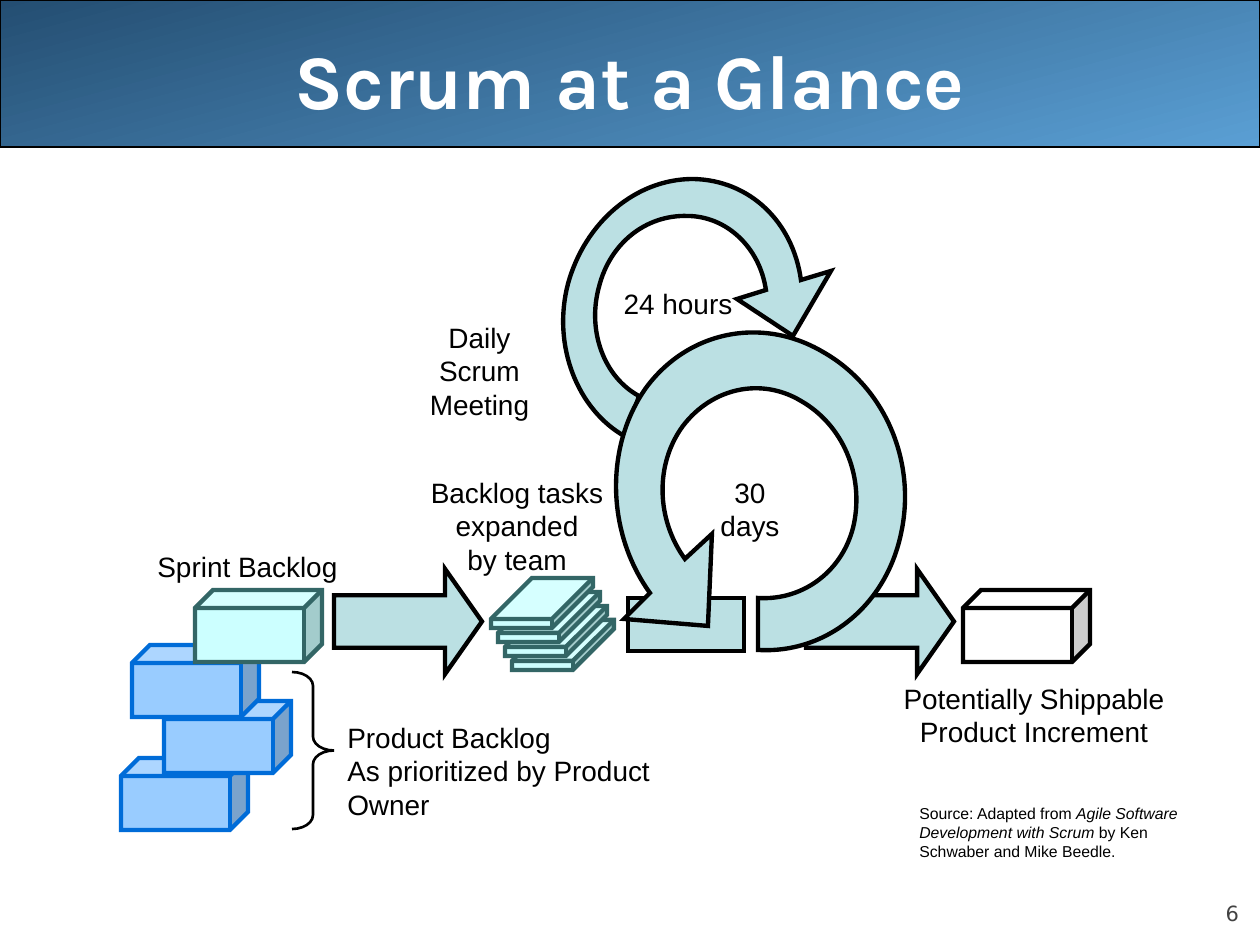
"""Build the "Scrum at a Glance" process slide."""
from dataclasses import dataclass

from lxml import etree
from pptx import Presentation
from pptx.dml.color import RGBColor
from pptx.enum.shapes import MSO_SHAPE
from pptx.enum.text import MSO_ANCHOR, MSO_AUTO_SIZE, PP_ALIGN
from pptx.oxml.ns import qn
from pptx.util import Emu, Pt

LEFT, CENTER, RIGHT = PP_ALIGN.LEFT, PP_ALIGN.CENTER, PP_ALIGN.RIGHT
MIDDLE, BOTTOM, TOP = MSO_ANCHOR.MIDDLE, MSO_ANCHOR.BOTTOM, MSO_ANCHOR.TOP
GROW = MSO_AUTO_SIZE.SHAPE_TO_FIT_TEXT
RECTANGLE, CUBE = MSO_SHAPE.RECTANGLE, MSO_SHAPE.CUBE
ARROW, BRACE = MSO_SHAPE.RIGHT_ARROW, MSO_SHAPE.RIGHT_BRACE
TITLE_ONLY = 5
EMU_PER_PX = 914400 / 126


@dataclass(frozen=True)
class Theme:
    """Colours, fonts and sizes of the slide."""
    banner_dark: str = "244E72"
    banner_light: str = "5A9FD4"
    flow: str = "BBE0E3"
    product: str = "99CCFF"
    product_line: str = "006CD8"
    sprint: str = "CCFFFF"
    sprint_line: str = "336666"
    white: str = "FFFFFF"
    black: str = "000000"
    number: str = "424242"
    title_font: str = "Karla"
    body_font: str = "Arial"
    number_font: str = "DejaVu Sans"
    title_size: float = 44
    label_size: float = 16
    number_size: float = 12
    source_size: float = 9
    outline: float = 2.5
    brace_line: float = 1.5
    banner_line: float = 0.75


THEME = Theme()
TITLE = "Scrum at a Glance"
PAGE_NUMBER = "6"
SOURCE = [("Source: Adapted from ", False),
          ("Agile Software Development with Scrum ", True),
          ("by Ken Schwaber and Mike Beedle.", False)]
LABELS = [
    ("30 days", (689, 469, 122, 47), CENTER),
    ("24 hours", (611, 280, 134, 47), CENTER),
    ("Product Backlog\nAs prioritized by Product Owner", (335, 714, 417, 81), LEFT),
    ("Sprint Backlog", (145, 543, 205, 47), LEFT),
    ("Backlog tasks\nexpanded\nby team", (418, 469, 198, 113), CENTER),
    ("Potentially Shippable\nProduct Increment", (891, 675, 286, 81), CENTER),
    ("Daily Scrum\nMeeting", (392, 314, 175, 81), CENTER),
]
ITEMS = [
    ((121, 758), THEME.product, THEME.product_line),
    ((164, 701), THEME.product, THEME.product_line),
    ((132, 645), THEME.product, THEME.product_line),
    ((195, 590), THEME.sprint, THEME.sprint_line),
    ((963, 590), THEME.white, THEME.black),
]
ITEM_SIZE = (127, 72)
TASK_COUNT, TASK_ORIGIN, TASK_STEP, TASK_SIZE = 4, (491, 578), (7, 14), (102, 50)
ARROW_LEFTS, ARROW_TOP, ARROW_SIZE = (806, 334), 569, (148, 105)
DAILY_LOOP = [
    [(766, 290)],
    [(760, 248), (727, 216), (687, 216)],
    [(646, 215), (610, 243), (599, 287)],
    [(587, 331), (604, 377), (639, 396)],
    [(626, 437)],
    [(577, 410), (552, 345), (568, 284)],
    [(585, 222), (636, 179), (693, 179)],
    [(750, 180), (793, 222), (801, 280)],
    [(831, 271)], [(793, 336)], [(737, 299)],
]
SPRINT_LOOP = [
    [(685, 559)],
    [(656, 519), (655, 464), (683, 426)],
    [(712, 388), (761, 377), (801, 401)],
    [(843, 425), (864, 475), (854, 524)],
    [(844, 570), (804, 601), (758, 598)],
    [(758, 650)],
    [(827, 654), (886, 605), (901, 534)],
    [(917, 462), (885, 387), (823, 352)],
    [(762, 316), (688, 331), (646, 388)],
    [(605, 446), (606, 532), (650, 593)],
    [(624, 619)], [(708, 626)], [(712, 534)],
]


def px(*lengths):
    return [Emu(round(length * EMU_PER_PX)) for length in lengths]


def rgb(colour):
    return RGBColor.from_string(colour)


def paint(shape, fill, line, width=THEME.outline):
    shape.shadow.inherit = False
    if fill:
        shape.fill.solid()
        shape.fill.fore_color.rgb = rgb(fill)
    else:
        shape.fill.background()
    shape.line.color.rgb = rgb(line)
    shape.line.width = Pt(width)
    outline = shape._element.spPr.find(qn("a:ln"))
    etree.SubElement(outline, qn("a:miter"), lim="800000")


def add_solid(shapes, preset, box, fill, line, adjustments=(), width=THEME.outline):
    solid = shapes.add_shape(preset, *px(*box))
    for index, value in enumerate(adjustments):
        solid.adjustments[index] = value
    paint(solid, fill, line, width)


def add_loop(shapes, segments):
    """Draw a closed outline; three-point segments are Bézier curves."""
    start, *rest = segments
    builder = shapes.build_freeform(*start[0], scale=EMU_PER_PX)
    builder.add_line_segments([point for segment in rest for point in segment], close=True)
    loop = builder.convert_to_shape()
    outline = loop._element.find(".//" + qn("a:path"))
    lines = iter(outline.findall(qn("a:lnTo")))
    for segment in rest:
        steps = [next(lines) for _ in segment]
        if len(steps) == 3:
            curve = etree.Element(qn("a:cubicBezTo"))
            steps[0].addprevious(curve)
            for step in steps:
                curve.append(step[0])
                outline.remove(step)
    paint(loop, THEME.flow, THEME.black)


def style(frame, font, size, colour, align, bold=False):
    for paragraph in frame.paragraphs:
        paragraph.alignment = align
        for run in paragraph.runs:
            run.font.name, run.font.size, run.font.bold = font, Pt(size), bold
            run.font.color.rgb = rgb(colour)


def add_frame(slide, box, wrap, anchor=TOP):
    frame = slide.shapes.add_textbox(*px(*box)).text_frame
    frame.word_wrap, frame.vertical_anchor = wrap, anchor
    return frame


def add_banner(slide):
    banner = slide.shapes.add_shape(RECTANGLE, *px(0, 0, 1260, 147))
    paint(banner, THEME.banner_dark, THEME.black, THEME.banner_line)
    banner.fill.gradient()
    banner.fill.gradient_angle = 285
    for stop, colour in zip(banner.fill.gradient_stops, (THEME.banner_dark, THEME.banner_light)):
        stop.color.rgb = rgb(colour)
    title = slide.shapes.title
    title.left, title.top, title.width, title.height = px(63, 0, 1134, 158)
    title.text_frame.text = TITLE
    title.text_frame.vertical_anchor = MIDDLE
    style(title.text_frame, THEME.title_font, THEME.title_size, THEME.white, CENTER, True)
    banner._element.addnext(title._element)


def add_diagram(shapes):
    outgoing, incoming = [(left, ARROW_TOP, *ARROW_SIZE) for left in ARROW_LEFTS]
    add_solid(shapes, ARROW, outgoing, THEME.flow, THEME.black, (0.5, 0.351))
    add_solid(shapes, RECTANGLE, (628, 598, 116, 53), THEME.flow, THEME.black)
    add_loop(shapes, DAILY_LOOP)
    for corner, fill, line in ITEMS:
        add_solid(shapes, CUBE, (*corner, *ITEM_SIZE), fill, line, (0.25,))
    tasks = shapes.add_group_shape().shapes
    for level in reversed(range(TASK_COUNT)):
        corner = [start + level * step for start, step in zip(TASK_ORIGIN, TASK_STEP)]
        add_solid(tasks, CUBE, (*corner, *TASK_SIZE), THEME.sprint, THEME.sprint_line, (0.82,))
    add_loop(shapes, SPRINT_LOOP)
    add_solid(shapes, ARROW, incoming, THEME.flow, THEME.black, (0.5, 0.351))
    add_solid(shapes, BRACE, (292, 672, 42, 157), None, THEME.black, (0.33, 0.5), THEME.brace_line)


def add_texts(slide):
    for text, box, align in LABELS:
        label = add_frame(slide, box, False)
        label.text, label.auto_size = text, GROW
        style(label, THEME.body_font, THEME.label_size, THEME.black, align)
    source = add_frame(slide, (907, 798, 325, 69), True)
    source.auto_size = GROW
    for text, italic in SOURCE:
        run = source.paragraphs[0].add_run()
        run.text, run.font.italic = text, italic
    style(source, THEME.body_font, THEME.source_size, THEME.black, LEFT)
    number = add_frame(slide, (1134, 876, 105, 50), True, BOTTOM)
    number.margin_left = number.margin_right = number.margin_top = number.margin_bottom = 0
    number.text = PAGE_NUMBER
    style(number, THEME.number_font, THEME.number_size, THEME.number, RIGHT)


def main():
    deck = Presentation()
    deck.slide_width, deck.slide_height = px(1260, 945)
    slide = deck.slides.add_slide(deck.slide_layouts[TITLE_ONLY])
    add_banner(slide)
    add_diagram(slide.shapes)
    add_texts(slide)
    deck.save("out.pptx")


if __name__ == "__main__":
    main()
